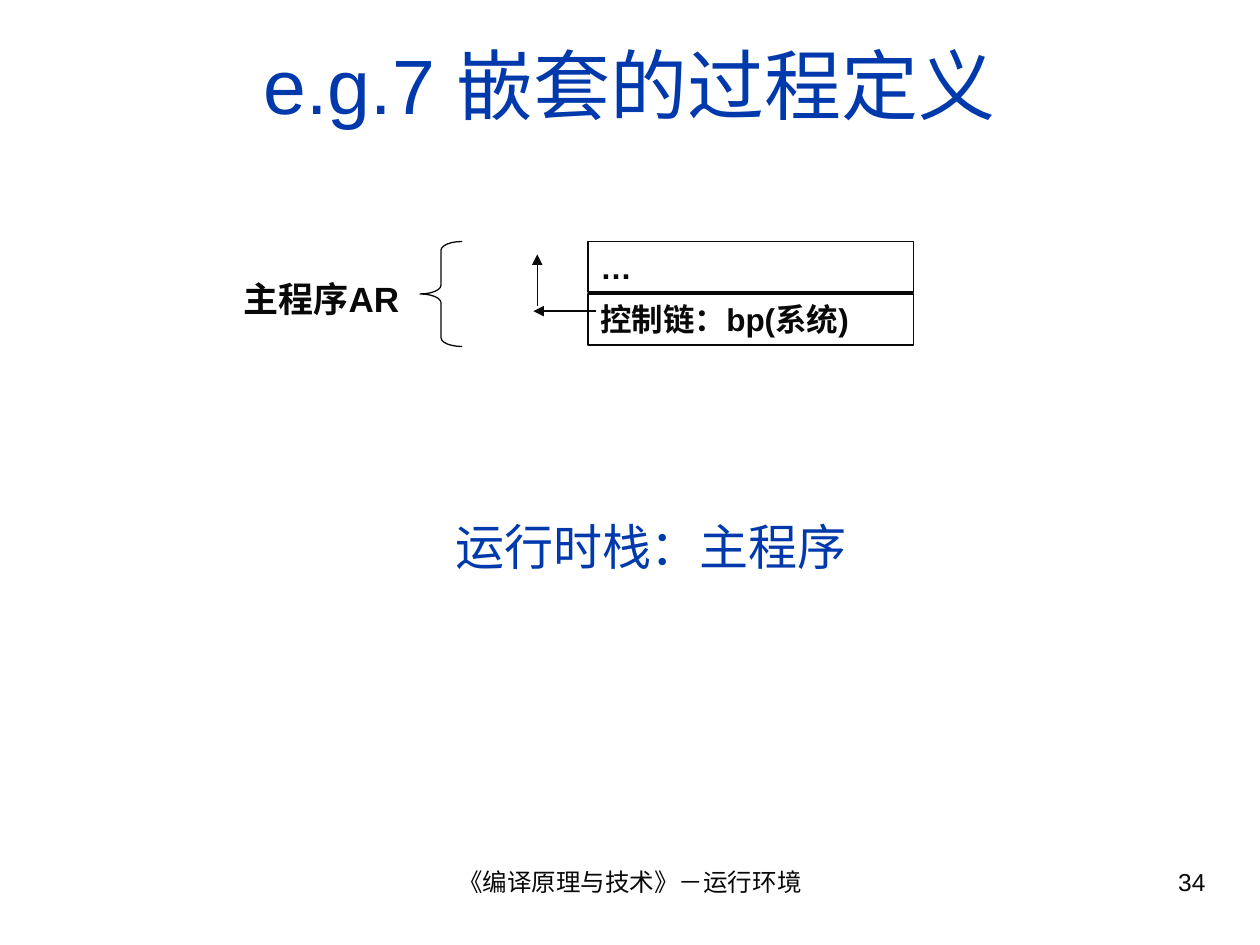
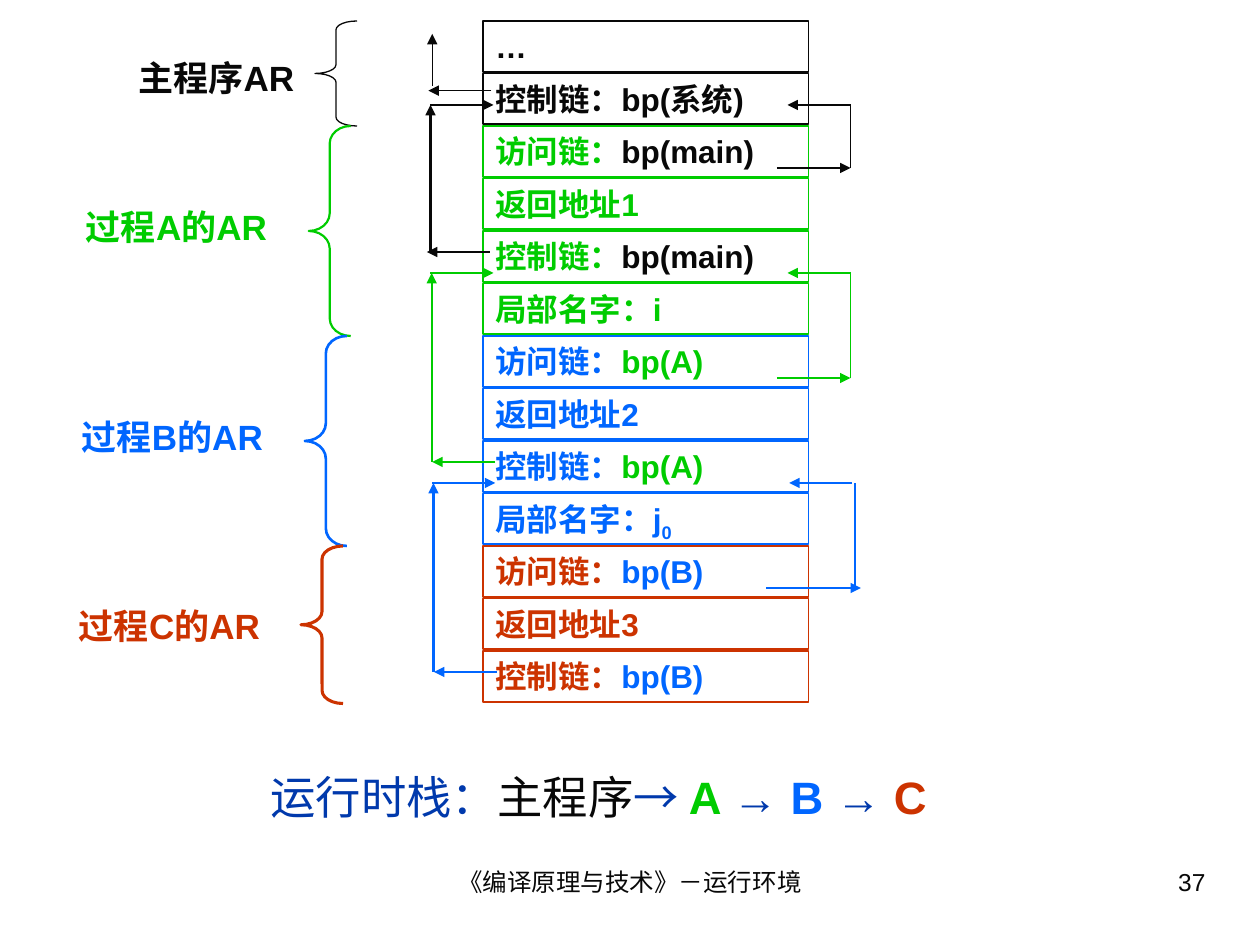
from dataclasses import dataclass

import lxml.etree
import pptx
import pptx.dml.color
import pptx.enum.shapes
import pptx.enum.text
import pptx.oxml.ns
import pptx.util

Pt = pptx.util.Pt
RGBColor = pptx.dml.color.RGBColor
Shapes = pptx.enum.shapes.MSO_SHAPE
Align = pptx.enum.text.PP_ALIGN
Anchor = pptx.enum.text.MSO_ANCHOR


@dataclass(frozen=True)
class Theme:
    font: str = "Arial"
    main: str = "080808"
    heading: str = "0039AC"
    a: str = "00CC00"
    b: str = "0066FF"
    c: str = "CC3300"
    title_size: float = 44
    subtitle_size: float = 28
    caption_size: float = 25.9
    label_size: float = 20
    row_size: float = 18
    footer_size: float = 14


@dataclass(frozen=True)
class Run:
    text: str
    color: str
    bold: bool = False
    subscript: bool = False


THEME = Theme()
FOOTER = "《编译原理与技术》－运行环境"
ROW_PITCH, ROW_HEIGHT, ROW_WIDTH = 30, 29, 186
BRACE_WIDTH = 24
TITLE_ONLY, BLANK = 5, 6


class StackDeck:
    """Holds the style and the slide being drawn."""

    def __init__(self, theme):
        self.theme = theme
        self.presentation = pptx.Presentation()
        self.presentation.slide_width = Pt(720)
        self.presentation.slide_height = Pt(540)
        self.slide = None

    def start_slide(self, number, layout):
        layouts = self.presentation.slide_layouts
        self.slide = self.presentation.slides.add_slide(layouts[layout])
        for text, box, align in (
            (FOOTER, (246, 492, 228, 37), Align.CENTER),
            (number, (516, 492, 180, 37), Align.RIGHT),
        ):
            self.text(box, [Run(text, self.theme.main)],
                      self.theme.footer_size, align)

    def fill_text(self, shape, runs, size, align=Align.LEFT, anchor=Anchor.TOP):
        frame = shape.text_frame
        frame.word_wrap = True
        frame.auto_size = pptx.enum.text.MSO_AUTO_SIZE.NONE
        frame.vertical_anchor = anchor
        paragraph = frame.paragraphs[0]
        paragraph.alignment = align
        for item in runs:
            run = paragraph.add_run()
            run.text = item.text
            run.font.name = self.theme.font
            run.font.size = Pt(size)
            run.font.bold = item.bold
            run.font.color.rgb = RGBColor.from_string(item.color)
            if item.subscript:
                run._r.get_or_add_rPr().set("baseline", "-25000")

    def text(self, box, runs, size, align=Align.LEFT, anchor=Anchor.TOP):
        shape = self.slide.shapes.add_textbox(*map(Pt, box))
        self.fill_text(shape, runs, size, align, anchor)

    def title(self, text):
        shape = self.slide.shapes.title
        shape.left, shape.top, shape.width, shape.height = map(
            Pt, (24, 18, 672, 60))
        self.fill_text(shape, [Run(text, self.theme.heading)],
                       self.theme.title_size, Align.CENTER, Anchor.MIDDLE)

    def caption(self, left, top, runs, size):
        self.text((left, top, 672, 60), runs, size,
                  Align.CENTER, Anchor.MIDDLE)

    def outline(self, kind, box, color, width):
        shape = self.slide.shapes.add_shape(kind, *map(Pt, box))
        shape.shadow.inherit = False
        shape.fill.background()
        shape.line.color.rgb = RGBColor.from_string(color)
        shape.line.width = Pt(width)
        return shape

    def rows(self, left, top, color, contents):
        for index, runs in enumerate(contents):
            box = (left, top + index * ROW_PITCH, ROW_WIDTH, ROW_HEIGHT)
            shape = self.outline(Shapes.RECTANGLE, box, color, 1)
            self.fill_text(shape, runs, self.theme.row_size)

    def brace(self, left, top, height, color, width):
        shape = self.outline(
            Shapes.LEFT_BRACE, (left, top, BRACE_WIDTH, height), color, width)
        shape.adjustments[0] = height / (12 * BRACE_WIDTH)

    def label(self, left, top, width, text, color):
        self.text((left, top, width, 32), [Run(text, color, True)],
                  self.theme.label_size)

    def line(self, start, end, color, width, arrow=True):
        connector = self.slide.shapes.add_connector(
            pptx.enum.shapes.MSO_CONNECTOR.STRAIGHT, *map(Pt, start + end))
        connector.line.color.rgb = RGBColor.from_string(color)
        connector.line.width = Pt(width)
        qn = pptx.oxml.ns.qn
        properties = connector._element.spPr
        if arrow:
            outline = properties.find(qn("a:ln"))
            lxml.etree.SubElement(outline, qn("a:tailEnd"), type="triangle")
        lxml.etree.SubElement(properties, qn("a:effectLst"))

    def main_record(self, x, y):
        """Main program record; x, y is the top left of its brace."""
        color = self.theme.main
        self.rows(x + 96, y, color, [
            [Run("…", color, True)],
            [Run("控制链：bp(系统)", color, True)],
        ])
        self.line((x + 100.8, y + 39.8), (x + 64.8, y + 39.8), color, 0.75)
        self.line((x + 67, y + 37), (x + 67, y + 7.4), color, 0.75)
        self.brace(x, y, 60, color, 0.75)
        self.label(x - 108, y + 17, 114, "主程序AR", color)

    def control_link(self, color, start, tip, shaft, top_shaft, bottom, top):
        """Left-hand link from a control cell up to the caller's cell."""
        self.line((start, bottom), (tip, bottom), color, 1.25)
        self.line((shaft, bottom), (shaft, top), color, 1.25)
        self.line((top_shaft, top), (top_shaft + 36, top), color, 1.25)

    def access_link(self, color, start, tip, shaft, top_shaft, bottom, top):
        """Right-hand link from an access cell up to the enclosing record."""
        self.line((start, bottom), (tip, bottom), color, 1)
        self.line((shaft, bottom), (shaft, top), color, 1, arrow=False)
        self.line((top_shaft, top), (top_shaft - 36, top), color, 1)


def record_rows(color, link, link_color, return_number, local=()):
    """Cells of one procedure's activation record."""
    chain = Run(link, link_color, True)
    contents = [
        [Run("访问链：", color, True), chain],
        [Run(f"返回地址{return_number}", color, True)],
        [Run("控制链：", color, True), chain],
    ]
    if local:
        contents.append([Run("局部名字：" + local[0], color, True)]
                        + [Run(sub, color, True, True) for sub in local[1:]])
    return contents


def build_main_slide(deck):
    theme = deck.theme
    deck.start_slide("34", TITLE_ONLY)
    deck.title("e.g.7 嵌套的过程定义")
    deck.main_record(240, 138)
    deck.caption(36, 282, [Run("运行时栈：主程序", theme.heading)],
                 theme.subtitle_size)


def build_nested_slide(deck):
    theme = deck.theme
    deck.start_slide("37", BLANK)
    deck.main_record(180, 12)

    # Procedure records: name, colour, top, brace left and width, label place
    records = (
        ("A", theme.a, 72, 176.4, 1.25, 42, 114,
         record_rows(theme.a, "bp(main)", theme.main, 1, ("i",))),
        ("B", theme.b, 192, 174.2, 1.5, 39.6, 234,
         record_rows(theme.b, "bp(A)", theme.a, 2, ("j", "0"))),
        ("C", theme.c, 312, 172, 1.75, 38, 342,
         record_rows(theme.c, "bp(B)", theme.b, 3)),
    )
    for name, color, top, left, width, label_x, label_y, contents in records:
        deck.rows(276, top, color, contents)
        deck.brace(left, top, len(contents) * ROW_PITCH, color, width)
        deck.label(label_x, label_y, 138, f"过程{name}的AR", color)

    # Control links on the left
    deck.control_link(theme.main, 280, 244, 246, 246, 144, 60)
    deck.control_link(theme.a, 283, 247, 246.7, 246, 264, 156)
    deck.control_link(theme.b, 284, 248, 247.7, 247, 384, 276)

    # Access links on the right
    deck.access_link(theme.main, 444, 486, 486, 486, 96, 60)
    deck.access_link(theme.a, 444, 486, 486, 486, 216, 156)
    deck.access_link(theme.b, 438, 492, 488.4, 487, 336, 276)

    # Call sequence
    arrow = Run("→ ", theme.heading)
    deck.caption(6, 425, [
        Run("运行时栈：", theme.heading),
        Run("主程序", theme.main),
        arrow, Run("A ", theme.a, True),
        arrow, Run("B ", theme.b, True),
        arrow, Run("C", theme.c, True),
    ], theme.caption_size)


def main():
    deck = StackDeck(THEME)
    build_main_slide(deck)
    build_nested_slide(deck)
    deck.presentation.save("out.pptx")


if __name__ == "__main__":
    main()
